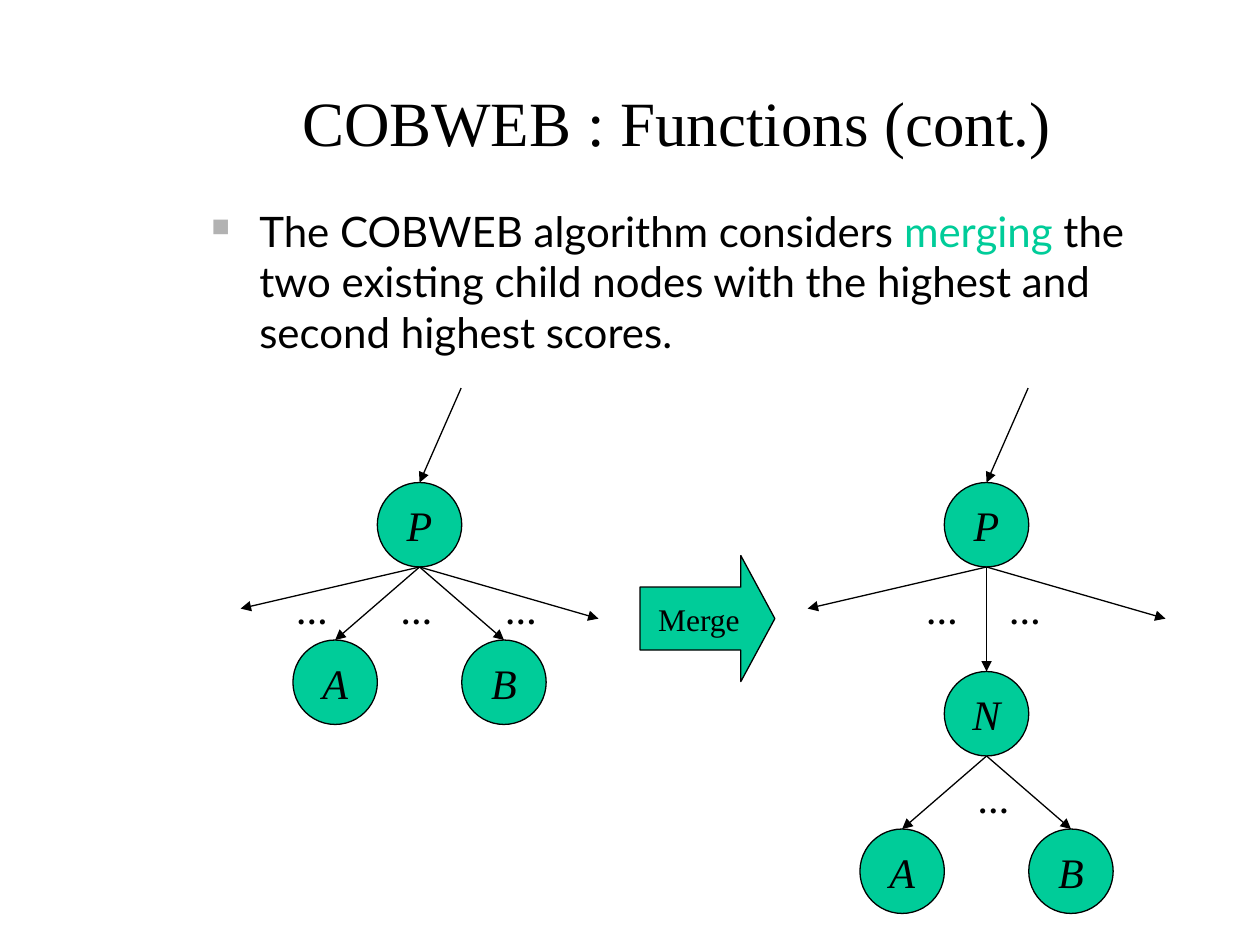
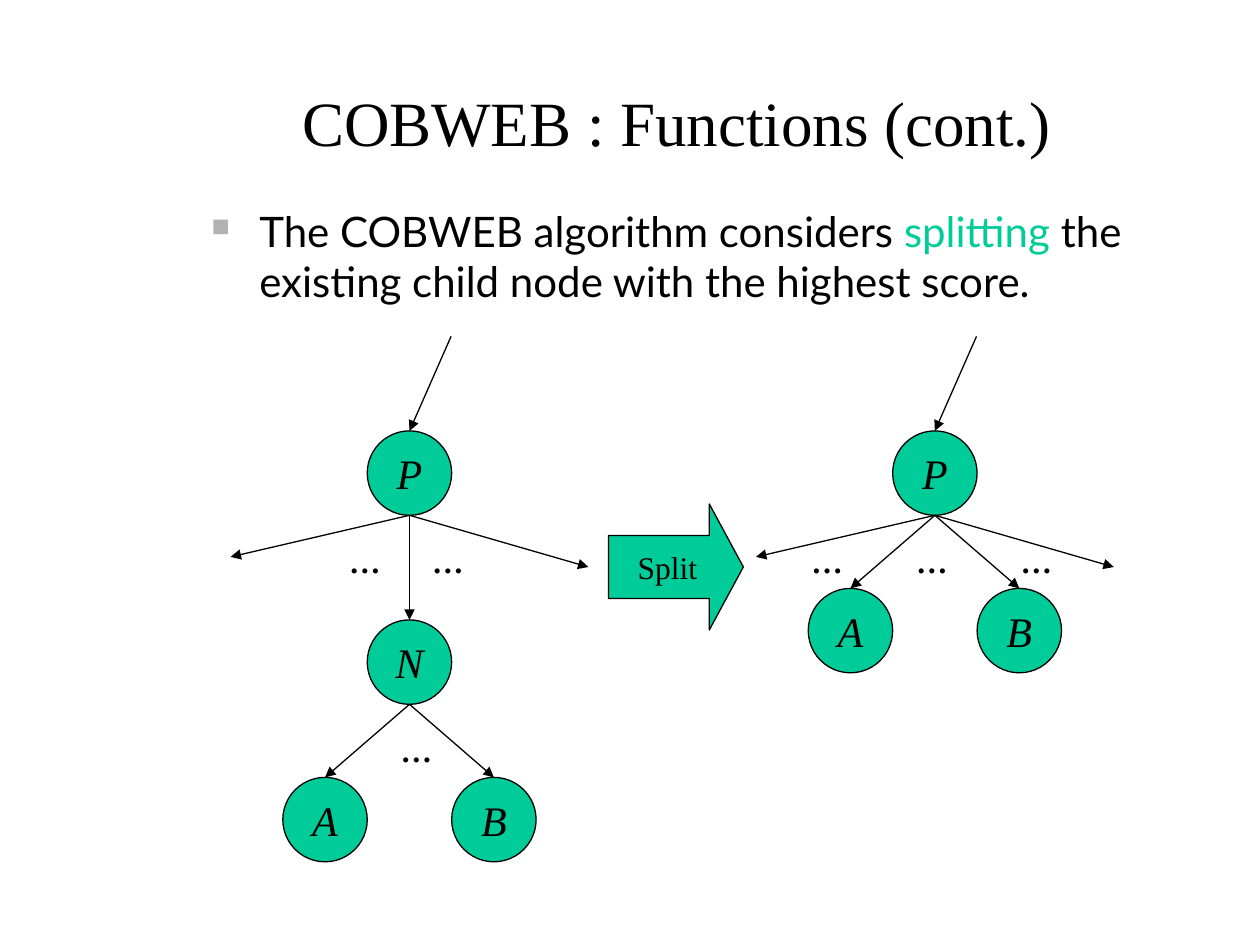
from dataclasses import dataclass

import pptx
import pptx.dml.color
import pptx.enum.shapes
import pptx.enum.text
import pptx.oxml
import pptx.oxml.ns
import pptx.util
from lxml import etree

Inches = pptx.util.Inches
Pt = pptx.util.Pt
Color = pptx.dml.color.RGBColor.from_string
Shape = pptx.enum.shapes.MSO_SHAPE
Align = pptx.enum.text.PP_ALIGN
Anchor = pptx.enum.text.MSO_ANCHOR

TITLE = "COBWEB : Functions (cont.)"
SLIDES = [
    {
        "text": ("The COBWEB algorithm considers ", "merging",
                 " the two existing child nodes with the highest and second highest scores."),
        "operation": "Merge",
        "root_top": 3.83,
        "arrow_left": 5.08,
        "trees": [("flat", 3.33), ("nested", 7.83)],
    },
    {
        "text": ("The COBWEB algorithm considers ", "splitting",
                 " the existing child node with the highest score."),
        "operation": "Split",
        "root_top": 3.42,
        "arrow_left": 4.83,
        "trees": [("nested", 3.25), ("flat", 7.42)],
    },
]

# Offsets are measured from the top centre of the root node P.
NODE = 0.67
SPREAD = 0.67
ENTRY = (0.33, -0.75)
SIDE_BRANCHES = [(-1.42, 1.0), (1.42, 1.08)]
TREES = {
    "flat": {
        "nodes": [("A", "P", -SPREAD, 1.25), ("B", "P", SPREAD, 1.25)],
        "dots": [(-1.08, 0.83), (-0.25, 0.83), (0.58, 0.83)],
    },
    "nested": {
        "nodes": [("N", "P", 0, 1.5), ("A", "N", -SPREAD, 2.75), ("B", "N", SPREAD, 2.75)],
        "dots": [(-0.58, 0.83), (0.08, 0.83), (-0.17, 2.33)],
    },
}


@dataclass(frozen=True)
class Theme:
    ink: str = "000000"
    accent: str = "00CC99"
    bullet: str = "B2B2B2"
    serif: str = "Times New Roman"
    sans: str = "Lato"
    title: int = 36
    body: int = 24
    label: int = 18
    line: float = 0.75


THEME = Theme()


def style(font, size, name=THEME.serif, color=THEME.ink, bold=False, italic=False):
    font.size, font.name = Pt(size), name
    font.bold, font.italic = bold, italic
    font.color.rgb = Color(color)


def write_centered(shape, text, size, **look):
    frame = shape.text_frame
    frame.text = text
    frame.word_wrap = False
    frame.vertical_anchor = Anchor.MIDDLE
    para = frame.paragraphs[0]
    para.alignment = Align.CENTER
    style(para.runs[0].font, size, **look)


def add_filled(shapes, kind, left, top, width, height):
    shape = shapes.add_shape(kind, Inches(left), Inches(top), Inches(width), Inches(height))
    shape.shadow.inherit = False
    shape.fill.solid()
    shape.fill.fore_color.rgb = Color(THEME.accent)
    shape.line.color.rgb = Color(THEME.ink)
    shape.line.width = Pt(THEME.line)
    return shape


def add_node(shapes, name, center, top):
    node = add_filled(shapes, Shape.OVAL, center - NODE / 2, top, NODE, NODE)
    write_centered(node, name, THEME.body, italic=True)


def add_branch(shapes, start, end):
    branch = shapes.add_connector(pptx.enum.shapes.MSO_CONNECTOR.STRAIGHT,
                                  *(Inches(value) for value in (*start, *end)))
    branch.line.color.rgb = Color(THEME.ink)
    branch.line.width = Pt(THEME.line)
    properties = branch._element.spPr
    etree.SubElement(properties.find(pptx.oxml.ns.qn("a:ln")),
                     pptx.oxml.ns.qn("a:tailEnd"), type="triangle")
    etree.SubElement(properties, pptx.oxml.ns.qn("a:effectLst"))


def add_tree(slide, kind, center, top):
    shapes = slide.shapes.add_group_shape().shapes
    tops = {"P": (center, top)}
    add_node(shapes, "P", center, top)
    add_branch(shapes, (center + ENTRY[0], top + ENTRY[1]), (center, top))
    for across, down in SIDE_BRANCHES:
        add_branch(shapes, (center, top + NODE), (center + across, top + down))
    for name, parent, across, down in TREES[kind]["nodes"]:
        tops[name] = (center + across, top + down)
        add_node(shapes, name, *tops[name])
        parent_x, parent_top = tops[parent]
        add_branch(shapes, (parent_x, parent_top + NODE), tops[name])
    for across, down in TREES[kind]["dots"]:
        box = shapes.add_textbox(Inches(center + across), Inches(top + down),
                                 Inches(0.45), Inches(0.4))
        write_centered(box, "…", THEME.label, bold=True)


def add_title(slide):
    title = slide.shapes.title
    title.left, title.top = Inches(1.33), Inches(0.42)
    title.width, title.height = Inches(8.08), Inches(1.08)
    write_centered(title, TITLE, THEME.title)
    title.text_frame.word_wrap = True


def add_statement(slide, parts):
    """Add the bulleted sentence, with its middle part in the accent colour."""
    box = slide.shapes.add_textbox(Inches(1.58), Inches(1.58), Inches(7.92), Inches(1.42))
    box.text_frame.word_wrap = True
    para = box.text_frame.paragraphs[0]
    properties = para._p.get_or_add_pPr()
    properties.set("marL", str(Inches(0.38)))
    properties.set("indent", str(-Inches(0.38)))
    namespace = pptx.oxml.ns.nsdecls("a")
    for bullet in (f'<a:buClr {namespace}><a:srgbClr val="{THEME.bullet}"/></a:buClr>',
                   f'<a:buSzPct {namespace} val="60000"/>',
                   f'<a:buChar {namespace} char="■"/>'):
        properties.append(pptx.oxml.parse_xml(bullet))
    for text, color in zip(parts, (THEME.ink, THEME.accent, THEME.ink)):
        span = para.add_run()
        span.text = text
        style(span.font, THEME.body, THEME.sans, color)


def add_operation(slide, name, left, top):
    arrow = add_filled(slide.shapes, Shape.RIGHT_ARROW, left, top, 1.07, 1)
    arrow.adjustments[0], arrow.adjustments[1] = 0.5, 0.27
    write_centered(arrow, name, THEME.label)


def main():
    deck = pptx.Presentation()
    deck.slide_width, deck.slide_height = Inches(10), Inches(7.5)
    for page in SLIDES:
        slide = deck.slides.add_slide(deck.slide_layouts[5])
        add_title(slide)
        add_statement(slide, page["text"])
        for kind, center in page["trees"]:
            add_tree(slide, kind, center, page["root_top"])
        add_operation(slide, page["operation"], page["arrow_left"], page["root_top"] + 0.58)
    deck.save("out.pptx")


if __name__ == "__main__":
    main()
